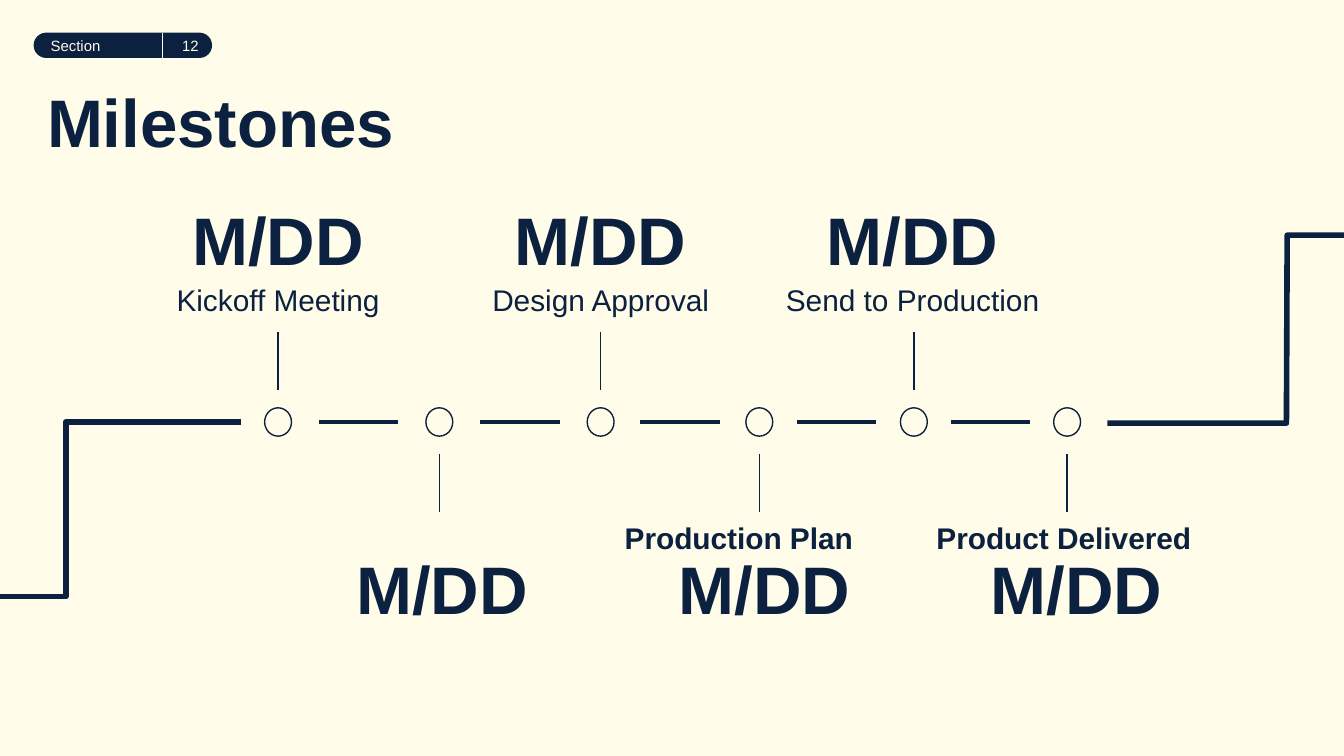
from pptx import Presentation
from pptx.dml.color import RGBColor
from pptx.enum.shapes import MSO_CONNECTOR as Link, MSO_SHAPE as Form
from pptx.enum.text import MSO_ANCHOR as Anchor, MSO_AUTO_SIZE as Fit, PP_ALIGN as Align
from pptx.oxml.ns import qn
from pptx.util import Pt
from lxml import etree

NAVY = RGBColor(0x0B, 0x21, 0x3F)
CREAM = RGBColor(0xFF, 0xFC, 0xE9)

deck = Presentation()
deck.slide_width, deck.slide_height = Pt(720), Pt(405)
slide = deck.slides.add_slide(deck.slide_layouts[5])
slide.background.fill.solid()
slide.background.fill.fore_color.rgb = CREAM
shapes = slide.shapes


def write(box, text, size, bold=False, align=Align.LEFT, anchor=Anchor.TOP,
          color=NAVY, space=1.0, inset=7.2):
    frame = box.text_frame
    frame.text = text
    frame.word_wrap = True
    frame.auto_size = Fit.NONE
    frame.vertical_anchor = anchor
    frame.margin_left = frame.margin_right = Pt(7.2)
    frame.margin_top = frame.margin_bottom = Pt(inset)
    para = frame.paragraphs[0]
    para.alignment = align
    para.line_spacing = space
    para.font.name, para.font.size, para.font.bold = "Arial", Pt(size), bold
    para.font.color.rgb = color


def rule(x1, y1, x2, y2, width=0.75, color=NAVY):
    line = shapes.add_connector(Link.STRAIGHT, Pt(x1), Pt(y1), Pt(x2), Pt(y2))
    line.line.color.rgb = color
    line.line.width = Pt(width)
    etree.SubElement(line._element.spPr, qn("a:effectLst"))


# Title
title = shapes.title
title.left, title.top, title.width, title.height = Pt(18), Pt(36), Pt(566), Pt(44)
write(title, "Milestones", 36, bold=True)

# Milestones: node centre, text centre, label; they alternate above and below
AXIS, WIDE = 226.1, 164.2
stones = [
    (149, 149, "Kickoff Meeting"),
    (235.4, 236.9, ""),
    (321.8, 321.8, "Design Approval"),
    (406.8, 409.7, "Production Plan"),
    (489.6, 488.9, "Send to Production"),
    (571.7, 576.7, "Product Delivered"),
]
for i, (node, mid, label) in enumerate(stones):
    above = i % 2 == 0
    left = Pt(mid - WIDE / 2)
    anchor = Anchor.BOTTOM if above else Anchor.TOP

    if label:
        box = shapes.add_textbox(left, Pt(143.3 if above else 271.4), Pt(WIDE), Pt(33.8))
        write(box, label, 16, bold=not above, anchor=anchor,
              align=Align.CENTER if above else Align.LEFT)
    date = shapes.add_textbox(left, Pt(103.7 if above else 294.5), Pt(WIDE), Pt(52.5))
    write(date, "M/DD", 36, bold=True, align=Align.CENTER, anchor=anchor, space=0.8)

    ring = shapes.add_shape(Form.OVAL, Pt(node - 7.2), Pt(AXIS - 7.6), Pt(14.4), Pt(15.2))
    ring.shadow.inherit = False
    ring.fill.background()
    ring.line.color.rgb = NAVY
    ring.line.width = Pt(0.75)

    stem = 177.8 if above else 243.4
    rule(node, stem, node, stem + 31)

# Dashes halfway between neighbouring nodes
for (a, _, _), (b, _, _) in zip(stones, stones[1:]):
    half = (a + b) / 2
    rule(half - 21.2, AXIS, half + 21.2, AXIS, 2.25)

# Stepped ends of the timeline
steps = [
    [(129.3, 226.1), (35.3, 226.1), (35.3, 319.7), (-2, 319.7)],
    [(593.3, 226.7), (689.2, 226.7), (689.6, 126), (725, 126)],
]
for first, *rest in steps:
    pen = shapes.build_freeform(Pt(first[0]), Pt(first[1]))
    pen.add_line_segments([(Pt(x), Pt(y)) for x, y in rest], close=False)
    step = pen.convert_to_shape()
    step.shadow.inherit = False
    step.fill.background()
    step.line.color.rgb = NAVY
    step.line.width = Pt(3)

# Section badge with page number
badge = shapes.add_shape(Form.ROUNDED_RECTANGLE, Pt(18), Pt(17.5), Pt(95.6), Pt(13.6))
badge.adjustments[0] = 0.5
badge.shadow.inherit = False
badge.fill.solid()
badge.fill.fore_color.rgb = NAVY
badge.line.fill.background()
write(badge, "Section", 8, anchor=Anchor.MIDDLE, color=CREAM, inset=0)
page = shapes.add_textbox(Pt(87), Pt(17.5), Pt(26.6), Pt(13.6))
write(page, "12", 8, align=Align.RIGHT, anchor=Anchor.MIDDLE, color=CREAM, inset=0)
rule(87, 17.5, 87, 31.1, color=CREAM)

deck.save("out.pptx")
